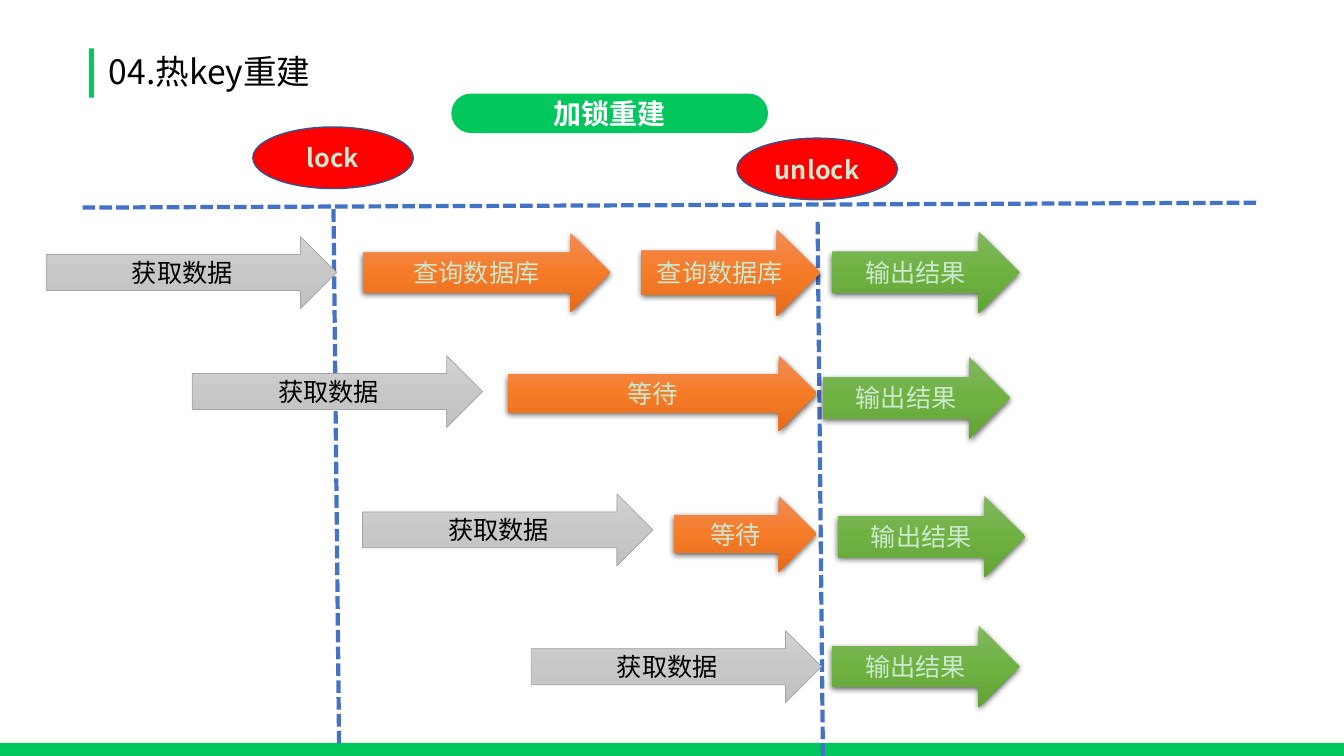
"""Build the slide on rebuilding a hot key under a lock."""
from copy import deepcopy
from dataclasses import dataclass

from pptx import Presentation
from pptx.dml.color import RGBColor
from pptx.enum.dml import MSO_LINE
from pptx.enum.shapes import MSO_CONNECTOR, MSO_SHAPE
from pptx.enum.text import MSO_ANCHOR, MSO_AUTO_SIZE, PP_ALIGN
from pptx.oxml import parse_xml
from pptx.oxml.ns import nsdecls, qn
from pptx.util import Pt

CJK_FONT = "Noto Sans CJK SC"
BRIGHT_GREEN = "01C75C"
PALE_GREEN = "CCE8CF"


@dataclass(frozen=True)
class Box:
    """Hold a position and a size in points."""
    left: float
    top: float
    width: float
    height: float

    def lengths(self) -> tuple:
        """Return the four values as lengths."""
        return Pt(self.left), Pt(self.top), Pt(self.width), Pt(self.height)


@dataclass(frozen=True)
class TextStyle:
    """Describe the look of a label."""
    color: str
    size: float = 18
    bold: bool = False
    font: str = CJK_FONT
    alignment: PP_ALIGN = PP_ALIGN.CENTER


@dataclass(frozen=True)
class ArrowStyle:
    """Describe one kind of step arrow."""
    stops: tuple
    text_color: str
    outline: str = ""


@dataclass(frozen=True)
class Step:
    """Describe one arrow on a request's row."""
    label: str
    style: ArrowStyle
    box: Box


@dataclass(frozen=True)
class Badge:
    """Describe a solid shape with an optional label."""
    geometry: MSO_SHAPE
    box: Box
    fill: str
    label: str = ""
    text: TextStyle = TextStyle("FFFFFF")
    outline: str = ""


GRAY = ArrowStyle(("D2D2D2", "C8C8C8", "C0C0C0"), "000000", "A5A5A5")
ORANGE = ArrowStyle(("F18C57", "F67B28", "E56C19"), PALE_GREEN)
GREEN = ArrowStyle(("81B861", "6FB242", "62A336"), PALE_GREEN)


def fetch(left: float, top: float) -> Step:
    """Describe a step that fetches data."""
    return Step("获取数据", GRAY, Box(left, top, 207.4, 51.4))


def output(left: float, top: float) -> Step:
    """Describe a step that returns the result."""
    return Step("输出结果", GREEN, Box(left, top, 133.8, 58.3))


def wait(left: float, top: float, width: float) -> Step:
    """Describe a step that waits for the lock."""
    return Step("等待", ORANGE, Box(left, top, width, 54))


STEPS = (
    Step("查询数据库", ORANGE, Box(259.2, 166.5, 176.4, 56.4)),
    fetch(33, 169),
    Step("查询数据库", ORANGE, Box(458.2, 163.8, 127.6, 61.9)),
    output(594.5, 165.4),
    fetch(379.4, 450.5), output(594.5, 447),
    wait(362.9, 254, 220.5), fetch(137.3, 254), output(587.7, 255),
    wait(481.5, 354.4, 101.8), fetch(259, 352.8), output(598.5, 354.2),
)

LOCK_TEXT = TextStyle(PALE_GREEN, bold=True)
FRAME = (
    Badge(MSO_SHAPE.RECTANGLE, Box(63.4, 34.5, 3.6, 35.3), BRIGHT_GREEN),
    Badge(MSO_SHAPE.RECTANGLE, Box(0, 530.6, 960, 9.4), BRIGHT_GREEN),
    Badge(MSO_SHAPE.ROUNDED_RECTANGLE, Box(322.4, 66.8, 226.2, 28.2), BRIGHT_GREEN,
          "加锁重建", TextStyle("FFFFFF", 20, True, "Calibri")),
)
LOCKS = (
    Badge(MSO_SHAPE.OVAL, Box(180.6, 90.7, 114.6, 44), "FF0000", "lock", LOCK_TEXT, "325491"),
    Badge(MSO_SHAPE.OVAL, Box(526.4, 98.7, 114.6, 44), "FF0000", "unlock", LOCK_TEXT, "325491"),
)
GUIDES = (
    (59, 148.3, 897.6, 144.8),
    (242.2, 531, 238.2, 147),
    (587.8, 540, 584, 155.5),
)


def rgb(color: str) -> RGBColor:
    """Turn a hex string into a colour."""
    return RGBColor.from_string(color)


def apply_format(target, values: dict) -> None:
    """Set every named attribute on the target."""
    for name, value in values.items():
        setattr(target, name, value)


def write_label(shape, label: str, style: TextStyle, side_inset: float = 7.2,
                vertical_inset: float = 3.6) -> None:
    """Write one formatted paragraph into a shape."""
    frame = shape.text_frame
    apply_format(frame, {
        "word_wrap": True, "auto_size": MSO_AUTO_SIZE.NONE,
        "vertical_anchor": MSO_ANCHOR.MIDDLE,
        "margin_left": Pt(side_inset), "margin_right": Pt(side_inset),
        "margin_top": Pt(vertical_inset), "margin_bottom": Pt(vertical_inset),
    })
    paragraph = frame.paragraphs[0]
    paragraph.alignment = style.alignment
    run = paragraph.add_run()
    run.text = label
    apply_format(run.font, {"name": style.font, "size": Pt(style.size), "bold": style.bold})
    run.font.color.rgb = rgb(style.color)
    run.font._element.find(qn("a:latin")).addnext(
        parse_xml(f'<a:ea {nsdecls("a")} typeface="{CJK_FONT}"/>'))


def set_outline(shape, color: str, width: float) -> None:
    """Give a shape an outline, or none when the colour is empty."""
    if color:
        shape.line.color.rgb = rgb(color)
        shape.line.width = Pt(width)
    else:
        shape.line.fill.background()


def draw_badge(slide, badge: Badge) -> None:
    """Draw a solid shape and its label."""
    shape = slide.shapes.add_shape(badge.geometry, *badge.box.lengths())
    shape.shadow.inherit = False
    shape.fill.solid()
    shape.fill.fore_color.rgb = rgb(badge.fill)
    set_outline(shape, badge.outline, 1)
    if badge.geometry == MSO_SHAPE.ROUNDED_RECTANGLE:
        shape.adjustments[0] = 0.5
    if badge.label:
        write_label(shape, badge.label, badge.text, 2.9, 0)


def draw_step(slide, step: Step) -> None:
    """Draw a step arrow with its gradient, outline or shadow."""
    shape = slide.shapes.add_shape(MSO_SHAPE.RIGHT_ARROW, *step.box.lengths())
    shape.shadow.inherit = False
    shape.fill.gradient()
    shape.fill.gradient_angle = 270
    stop_list = shape._element.spPr.find(".//" + qn("a:gsLst"))
    stop_list.insert(1, deepcopy(stop_list[0]))
    for stop, color, position in zip(shape.fill.gradient_stops, step.style.stops, (0, 0.5, 1)):
        stop.color.rgb = rgb(color)
        stop.position = position
    set_outline(shape, step.style.outline, 0.5)
    if not step.style.outline:
        shape._element.spPr.find(qn("a:effectLst")).append(parse_xml(
            f'<a:outerShdw {nsdecls("a")} blurRad="{Pt(4.5)}" dist="{Pt(1.5)}" dir="5400000" '
            'algn="ctr" rotWithShape="0"><a:srgbClr val="000000"><a:alpha val="63000"/>'
            '</a:srgbClr></a:outerShdw>'))
    write_label(shape, step.label, TextStyle(step.style.text_color))


def draw_guide(slide, ends: tuple) -> None:
    """Draw a dashed guide line."""
    guide = slide.shapes.add_connector(MSO_CONNECTOR.STRAIGHT, *map(Pt, ends))
    set_outline(guide, "4472C4", 3)
    guide.line.dash_style = MSO_LINE.SQUARE_DOT
    guide._element.spPr.append(parse_xml(f'<a:effectLst {nsdecls("a")}/>'))


def main() -> None:
    """Build and save the presentation."""
    presentation = Presentation()
    apply_format(presentation, {"slide_width": Pt(960), "slide_height": Pt(540)})
    slide = presentation.slides.add_slide(presentation.slide_layouts[5])
    title = slide.shapes.title
    apply_format(title, dict(zip(("left", "top", "width", "height"),
                                 Box(70.6, 37.4, 889.4, 31).lengths())))
    write_label(title, "04.热key重建", TextStyle("000000", 24, alignment=PP_ALIGN.LEFT))
    title.text_frame.paragraphs[0].line_spacing = 0.9
    for draw, items in ((draw_badge, FRAME), (draw_guide, GUIDES),
                        (draw_step, STEPS), (draw_badge, LOCKS)):
        for item in items:
            draw(slide, item)
    presentation.save("out.pptx")


if __name__ == "__main__":
    main()
